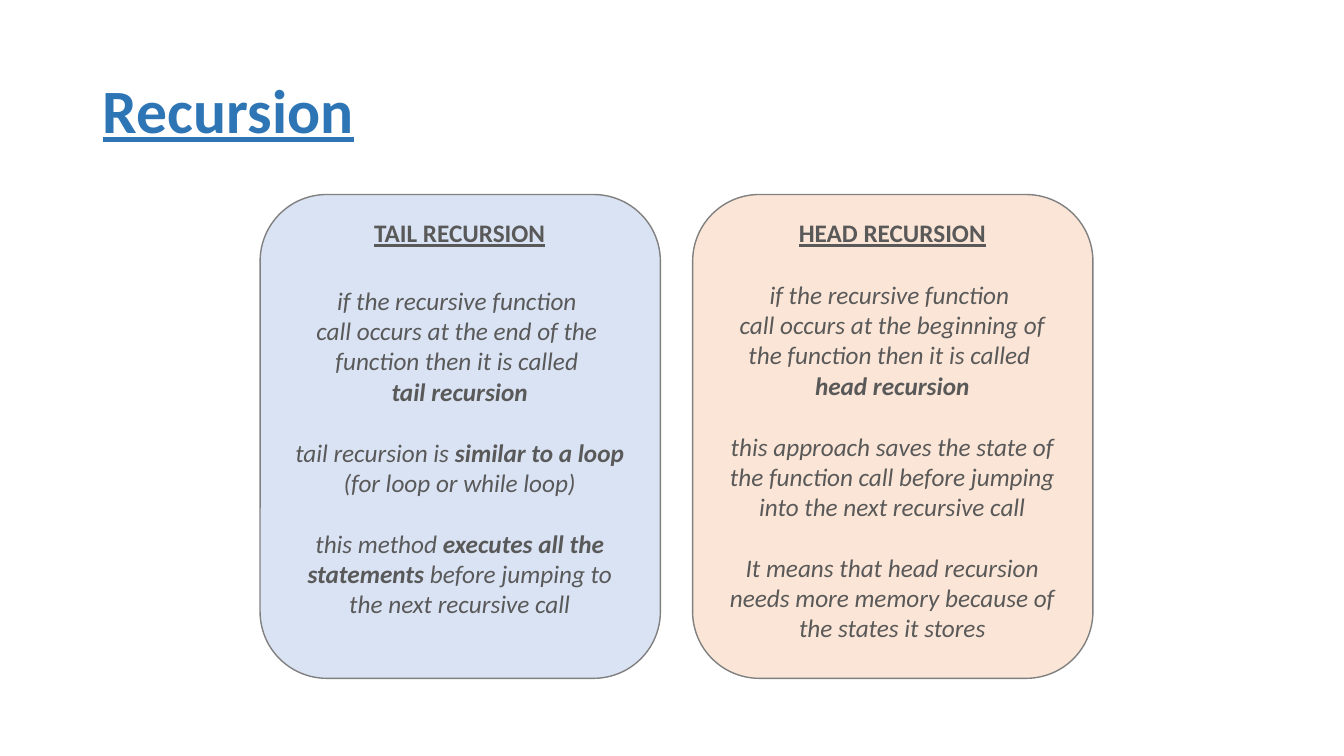
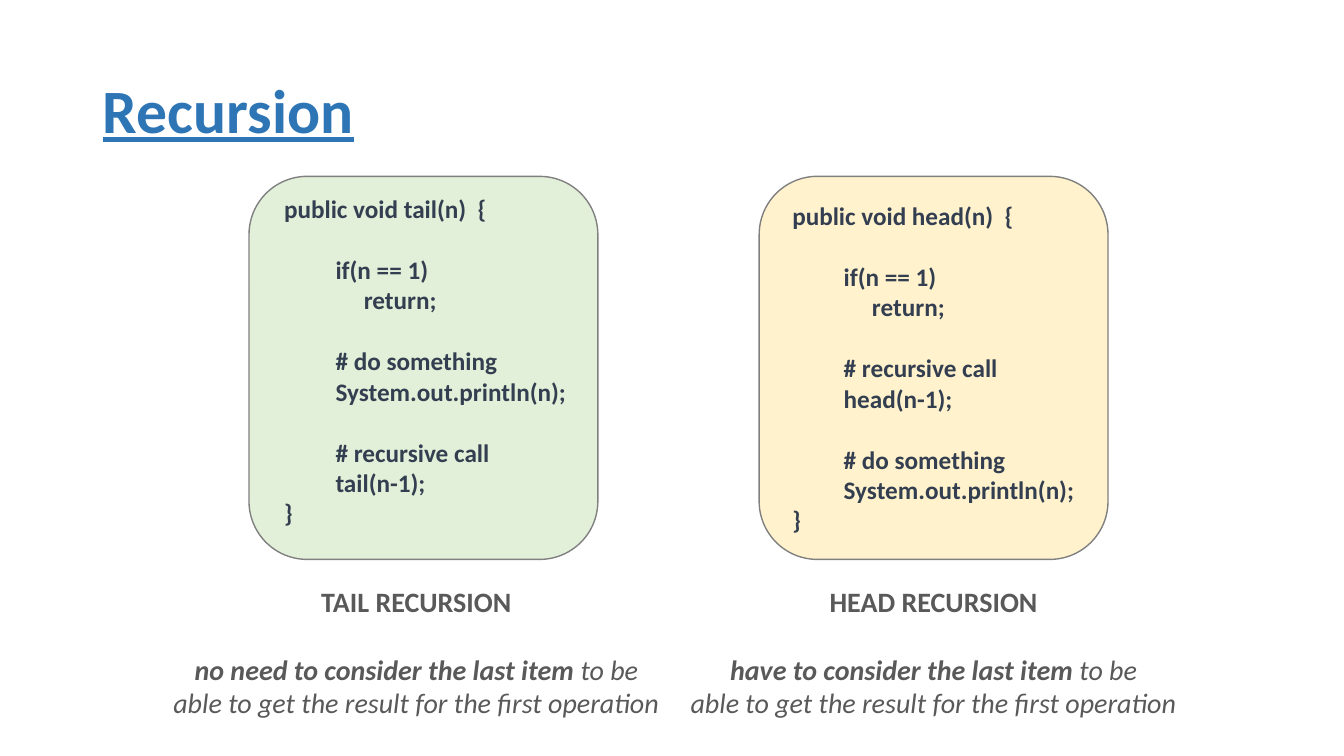
from pptx import Presentation
from pptx import util as u
from pptx.dml.color import RGBColor
from pptx.enum import shapes, text

TITLE, GREY, NAVY, OUTLINE = "2E75B6", "595959", "333F50", "808080"
FONT = "Calibri"
LINE_HEIGHT = 1.22
INDENTS = (0, 0.51, 0.79)


def rgb(value):
    return RGBColor.from_string(value)


class Deck:
    """Holds the shared style and the slide being built."""

    def __init__(self):
        self.prs = Presentation()
        self.prs.slide_width = u.Inches(13.33)
        self.prs.slide_height = u.Inches(7.5)
        self.s = None

    def slide(self, title):
        self.s = self.prs.slides.add_slide(self.prs.slide_layouts[5])
        sp = self.s.shapes.title
        box = dict(left=0.92, top=0.4, width=11.5, height=1.45)
        for name, value in box.items():
            setattr(sp, name, u.Inches(value))
        tf = sp.text_frame
        tf.auto_size = text.MSO_AUTO_SIZE.NONE
        tf.vertical_anchor = text.MSO_ANCHOR.MIDDLE
        p = tf.paragraphs[0]
        p.alignment = text.PP_ALIGN.LEFT
        p.line_spacing = 0.9
        self.run(p, title, 44, TITLE, bold=True, underline=True)

    def run(self, p, words, size, color, **formats):
        r = p.add_run()
        r.text = words
        r.font.color.rgb = rgb(color)
        for name, value in dict(formats, name=FONT, size=u.Pt(size)).items():
            setattr(r.font, name, value)

    def card(self, x, y, w, h, fill):
        sp = self.s.shapes.add_shape(shapes.MSO_SHAPE.ROUNDED_RECTANGLE,
                                     *map(u.Inches, (x, y, w, h)))
        sp.shadow.inherit = False
        sp.fill.solid()
        sp.fill.fore_color.rgb = rgb(fill)
        sp.line.color.rgb = rgb(OUTLINE)
        sp.line.width = u.Pt(1)

    def text(self, x, y, w, h, blocks, size=18, color=GREY, wrap=True,
             align=text.PP_ALIGN.CENTER, **formats):
        """Write blocks of lines, one line height apart.

        Leading tabs set the indent; **marks** enclose bold words.
        """
        tf = self.s.shapes.add_textbox(*map(u.Inches, (x, y, w, h))).text_frame
        tf.word_wrap = wrap
        p = None
        for block in blocks:
            for i, line in enumerate(block):
                first = p is None
                p = tf.paragraphs[0] if first else tf.add_paragraph()
                p.alignment = align
                if i == 0 and not first:
                    p.space_before = u.Pt(size * LINE_HEIGHT)
                words = line.lstrip("\t")
                indent = INDENTS[len(line) - len(words)]
                if indent:
                    p._p.get_or_add_pPr().set("marL", str(u.Inches(indent)))
                for n, part in enumerate(words.split("**")):
                    if part:
                        style = {"bold": n % 2 == 1, **formats}
                        self.run(p, part, size, color, **style)

    def definition(self, x, fill, heading, body_top, blocks):
        self.card(x, 1.93, 3.97, 4.8, fill)
        left, width = x + 0.2, 3.56
        self.text(left, 2.11, width, 0.4, [[heading]],
                  bold=True, underline=True)
        self.text(left, body_top, width, 3.5, blocks, italic=True)

    def example(self, x, fill, code_at, code, caption_x, heading, caption):
        self.card(x, 1.75, 3.46, 3.8, fill)
        self.text(*code_at, 3.23, 3.43, code, color=NAVY, wrap=False,
                  align=text.PP_ALIGN.LEFT, bold=True)
        self.text(caption_x, 5.75, 5.06, 0.44, [[heading]], size=20,
                  wrap=False, bold=True)
        self.text(caption_x, 6.42, 5.06, 0.78, [caption], size=20,
                  wrap=False, italic=True)


def main():
    deck = Deck()

    deck.slide("Recursion")
    deck.definition(2.58, "DAE3F3", "TAIL RECURSION", 2.78, [
        ["if the recursive function ", "call occurs at the end of the ",
         "function then it is called ", "**tail recursion**"],
        ["tail recursion is **similar to a loop**",
         "(for loop or while loop)"],
        ["this method **executes all the statements** before jumping to "
         "the next recursive call"],
    ])
    deck.definition(6.87, "FBE5D6", "HEAD RECURSION", 2.72, [
        ["if the recursive function ",
         "call occurs at the beginning of the function then it is called ",
         "**head recursion**"],
        ["this approach saves the state of the function call before jumping "
         "into the next recursive call"],
        ["It means that head recursion needs more memory because of "
         "the states it stores"],
    ])

    deck.slide("Recursion")
    base_case = ["\tif(n == 1)", "\t\treturn;"]
    action = ["\t# do something", "\tSystem.out.println(n);"]
    result = "able to get the result for the first operation"
    deck.example(
        2.47, "E2F0D9", (2.72, 1.87),
        [["public void tail(n)  {"], base_case, action,
         ["\t# recursive call", "\ttail(n-1);", "}"]],
        1.6, "TAIL RECURSION",
        ["**no need to consider the last item **to be", result])
    deck.example(
        7.53, "FFF2CC", (7.76, 1.94),
        [["public void head(n)  {"], base_case,
         ["\t# recursive call", "\thead(n-1);"], action + ["}"]],
        6.73, "HEAD RECURSION",
        ["**have to consider the last item **to be", result])

    deck.prs.save("out.pptx")


if __name__ == "__main__":
    main()
